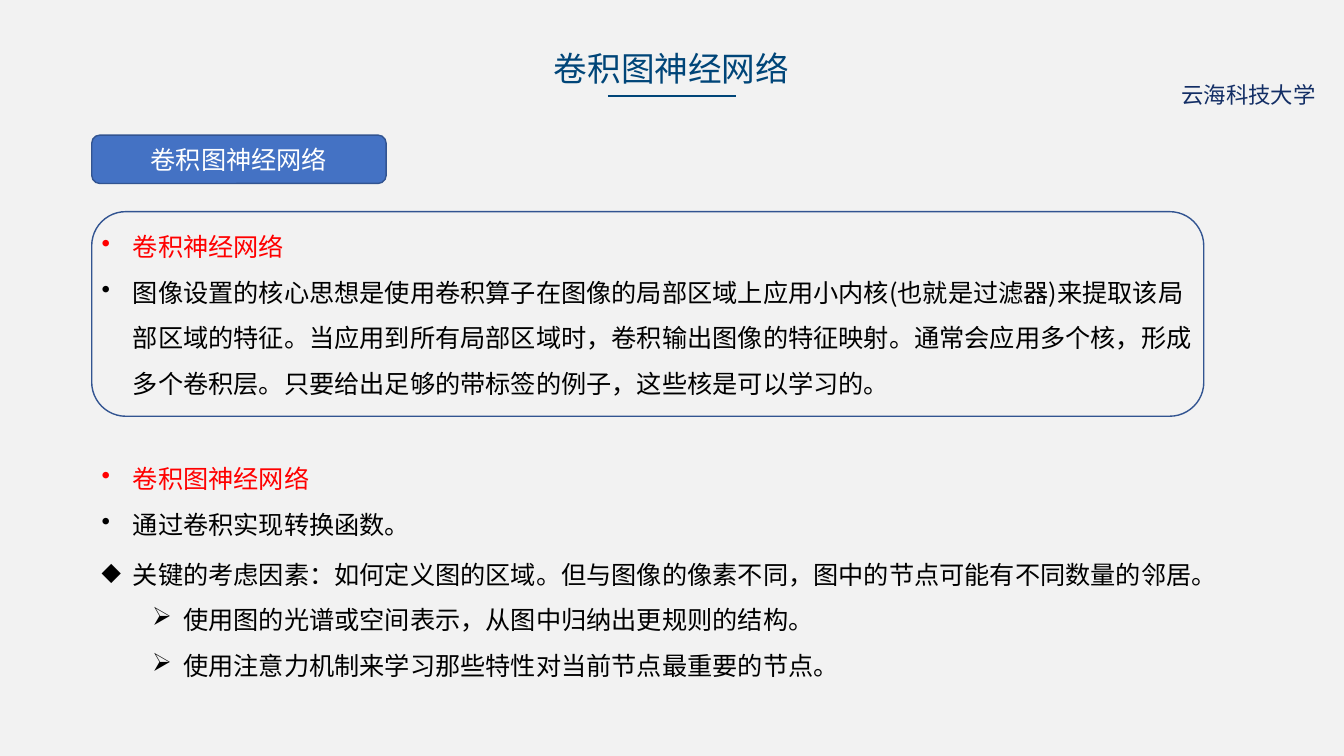
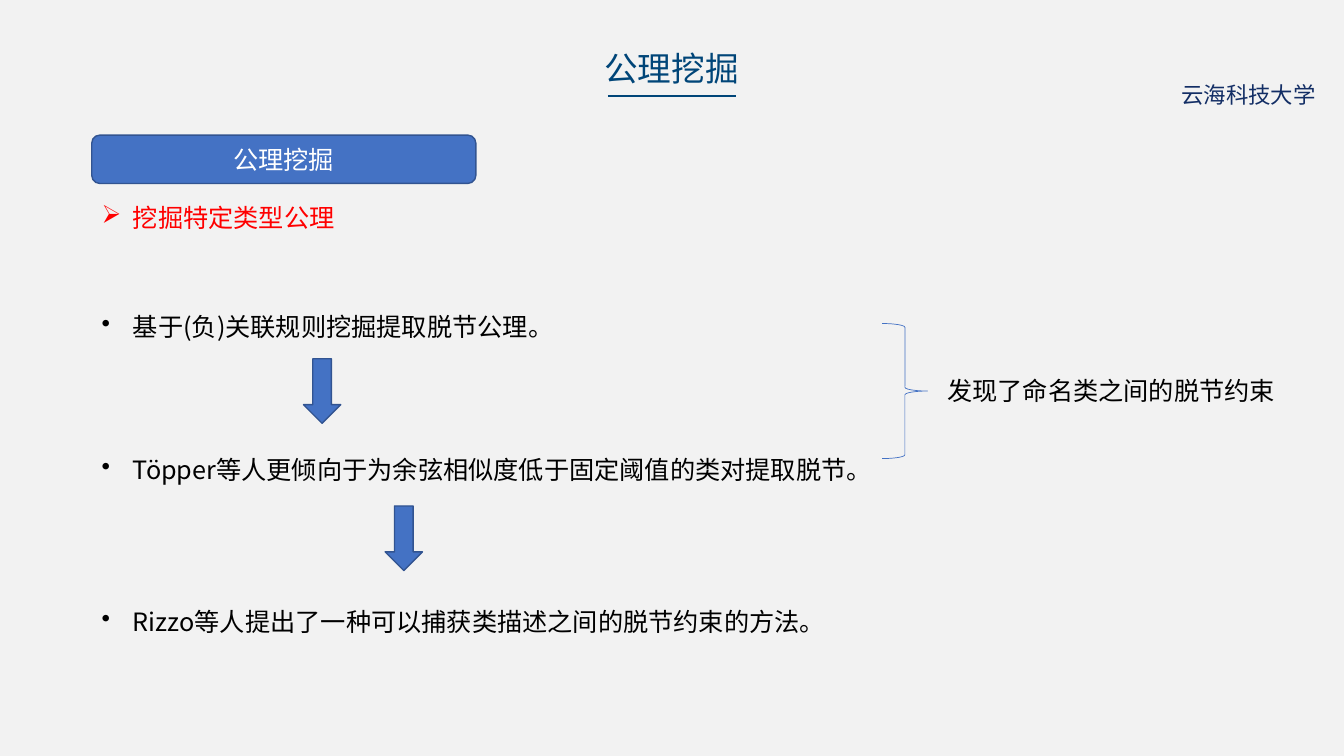
import pptx
import pptx.util
import pptx.dml.color
import pptx.enum.shapes
import pptx.enum.text
import pptx.oxml.ns
import lxml.etree

Inches = pptx.util.Inches
Pt = pptx.util.Pt
RGBColor = pptx.dml.color.RGBColor
SHAPE = pptx.enum.shapes.MSO_SHAPE
ALIGN = pptx.enum.text.PP_ALIGN
qn = pptx.oxml.ns.qn

# Shared style
FONT = "Noto Sans CJK SC"
PAPER = RGBColor(0xF2, 0xF2, 0xF2)
TEAL = RGBColor(0x00, 0x45, 0x78)
NAVY = RGBColor(0x13, 0x2E, 0x65)
BLUE = RGBColor(0x44, 0x72, 0xC4)
EDGE = RGBColor(0x32, 0x54, 0x91)
RED = RGBColor(0xFF, 0x00, 0x00)
BLACK = RGBColor(0x00, 0x00, 0x00)
WHITE = RGBColor(0xFF, 0xFF, 0xFF)
SCHOOL = "云海科技大学"
LEFT = 0.91
WIDE = 11.03
INDENT = 0.31
STEP = 0.5


def style(para, size, color, align=None):
    """Format every run, for Latin and Chinese letters alike."""
    para.alignment = align
    for run in para.runs:
        run.font.size = Pt(size)
        run.font.name = FONT
        run.font.color.rgb = color
        props = run.font._element
        east = lxml.etree.Element(qn("a:ea"), typeface=FONT)
        props.find(qn("a:latin")).addnext(east)


def bullet(para, mark, level=0):
    """Give a paragraph a hanging bullet."""
    para.level = level
    props = para._p.get_or_add_pPr()
    props.set("marL", str(Inches(INDENT + level * STEP)))
    props.set("indent", str(-Inches(INDENT)))
    lxml.etree.SubElement(props, qn("a:buChar"), char=mark)


def label(slide, box, text, size=18, color=BLACK, align=None, space=None):
    """Add a text box with a single line."""
    frame = slide.shapes.add_textbox(*map(Inches, box)).text_frame
    frame.word_wrap = True
    para = frame.paragraphs[0]
    para.text = text
    para.line_spacing = space
    style(para, size, color, align)


def points(slide, box, items, space=1.5):
    """Add a bulleted list of (mark, level, colour, text) items."""
    frame = slide.shapes.add_textbox(*map(Inches, box)).text_frame
    frame.word_wrap = True
    frame.text = "\n".join(item[-1] for item in items)
    for para, (mark, level, color, _) in zip(frame.paragraphs, items):
        para.line_spacing = space
        style(para, 18, color)
        bullet(para, mark, level)


def shape(slide, kind, box, fill=None, edge=EDGE, width=1):
    """Add a preset shape, hollow unless a fill is given."""
    item = slide.shapes.add_shape(kind, *map(Inches, box))
    item.shadow.inherit = False
    if fill is None:
        item.fill.background()
    else:
        item.fill.solid()
        item.fill.fore_color.rgb = fill
    item.line.color.rgb = edge
    item.line.width = Pt(width)
    return item


def banner(slide, text, width):
    """Add the blue section banner."""
    item = shape(slide, SHAPE.ROUNDED_RECTANGLE, (LEFT, 1.34, width, 0.48), BLUE)
    frame = item.text_frame
    frame.text = text
    frame.vertical_anchor = pptx.enum.text.MSO_ANCHOR.MIDDLE
    style(frame.paragraphs[0], 18, WHITE, ALIGN.CENTER)


def page(deck, title):
    """Start a slide with its title, rule and school name."""
    slide = deck.slides.add_slide(deck.slide_layouts[6])
    label(slide, (3.95, 0.43, 5.42, 0.5), title, 24, TEAL, ALIGN.CENTER)
    rule = slide.shapes.add_connector(
        pptx.enum.shapes.MSO_CONNECTOR.STRAIGHT,
        Inches(6.03), Inches(0.95), Inches(7.3), Inches(0.95))
    rule.line.color.rgb = TEAL
    rule.line.width = Pt(1.5)
    lxml.etree.SubElement(rule._element.spPr, qn("a:effectLst"))
    label(slide, (11.62, 0.76, 1.58, 0.37), SCHOOL, 16, NAVY)
    return slide


def graph(deck):
    slide = page(deck, "卷积图神经网络")
    banner(slide, "卷积图神经网络", 2.92)

    # Framed recap of convolution
    points(slide, (LEFT, 2.1, WIDE, 1.92), [
        ("•", 0, RED, "卷积神经网络"),
        ("•", 0, BLACK,
         "图像设置的核心思想是使用卷积算子在图像的局部区域上应用小内核(也就是过滤器)来提取该局部区域的特征。"
         "当应用到所有局部区域时，卷积输出图像的特征映射。通常会应用多个核，形成多个卷积层。"
         "只要给出足够的带标签的例子，这些核是可以学习的。"),
    ])
    shape(slide, SHAPE.ROUNDED_RECTANGLE, (LEFT, 2.1, WIDE, 2.03))

    # Convolution on graphs
    points(slide, (LEFT, 4.4, 3.4, 1.01), [
        ("•", 0, RED, "卷积图神经网络"),
        ("•", 0, BLACK, "通过卷积实现转换函数。"),
    ])
    points(slide, (LEFT, 5.35, WIDE, 1.46), [
        ("◆", 0, BLACK,
         "关键的考虑因素：如何定义图的区域。但与图像的像素不同，图中的节点可能有不同数量的邻居。"),
        ("➢", 1, BLACK, "使用图的光谱或空间表示，从图中归纳出更规则的结构。"),
        ("➢", 1, BLACK, "使用注意力机制来学习那些特性对当前节点最重要的节点。"),
    ])


def axiom(deck):
    slide = page(deck, "公理挖掘")
    banner(slide, "公理挖掘", 3.81)
    points(slide, (LEFT, 1.96, 2.6, 0.4),
           [("➢", 0, RED, "挖掘特定类型公理")], None)

    # Chain of methods
    for top, width, text in (
            (2.89, 4.7, "基于(负)关联规则挖掘提取脱节公理。"),
            (4.31, 8.03, "Töpper等人更倾向于为余弦相似度低于固定阈值的类对提取脱节。"),
            (5.82, 9.31, "Rizzo等人提出了一种可以捕获类描述之间的脱节约束的方法。")):
        points(slide, (LEFT, top, width, 0.55), [("•", 0, BLACK, text)])
    for left, top in ((3.01, 3.56), (3.82, 5.02)):
        shape(slide, SHAPE.DOWN_ARROW, (left, top, 0.37, 0.64), BLUE)

    # Shared finding
    shape(slide, SHAPE.RIGHT_BRACE, (8.75, 3.21, 0.45, 1.34), None, BLUE, 0.5)
    label(slide, (9.21, 3.52, 3.62, 0.55), "发现了命名类之间的脱节约束",
          align=ALIGN.CENTER, space=1.5)


def main():
    deck = pptx.Presentation()
    deck.slide_width = Inches(13.33)
    deck.slide_height = Inches(7.5)
    back = deck.slide_master.background.fill
    back.solid()
    back.fore_color.rgb = PAPER
    graph(deck)
    axiom(deck)
    deck.save("out.pptx")


if __name__ == "__main__":
    main()
